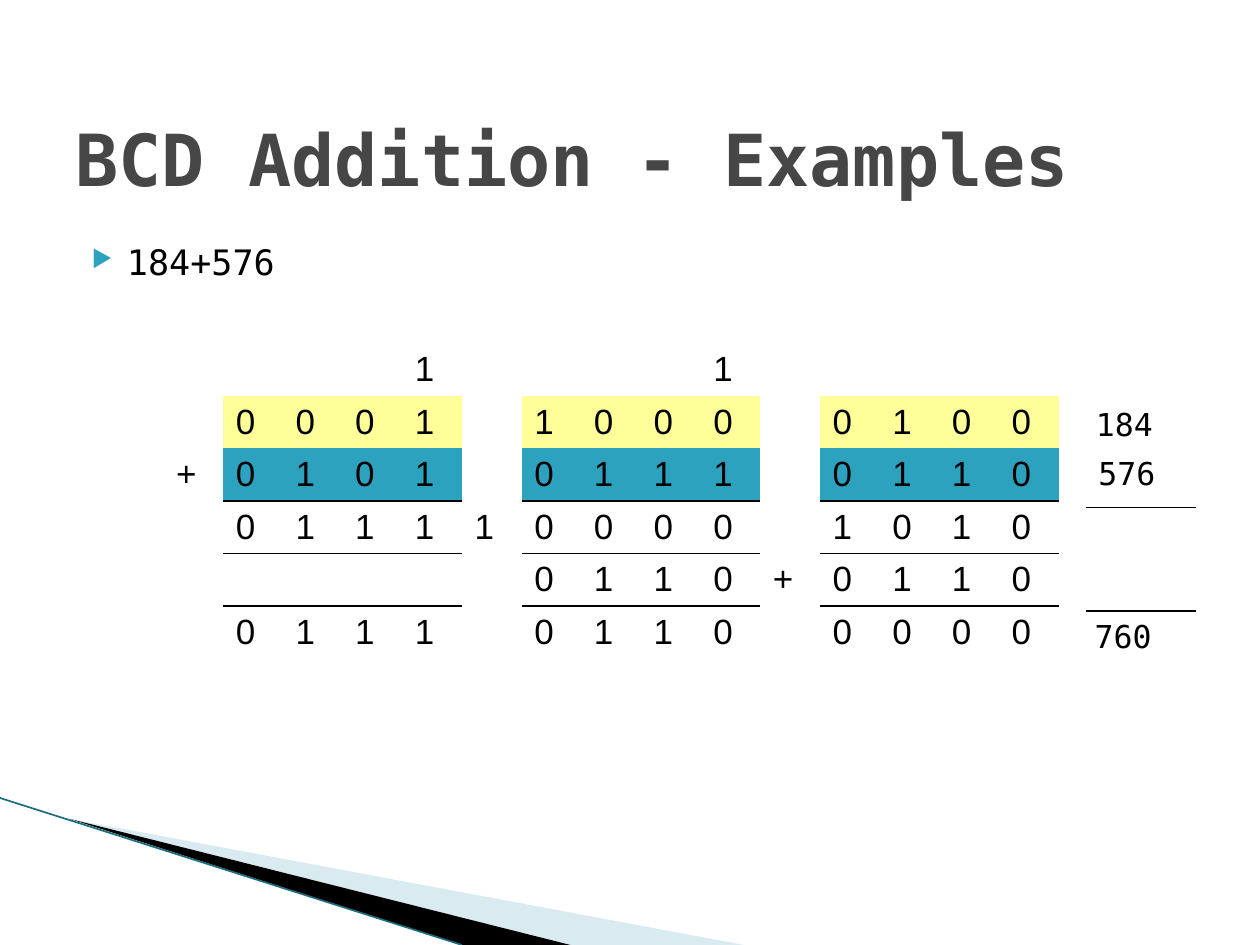
from lxml.etree import SubElement
from pptx import Presentation
from pptx.dml.color import RGBColor
from pptx.enum.shapes import MSO_CONNECTOR
from pptx.enum.text import MSO_ANCHOR, MSO_AUTO_SIZE, PP_ALIGN
from pptx.oxml import parse_xml
from pptx.oxml.ns import nsdecls, qn
from pptx.util import Pt

BLACK = RGBColor(0, 0, 0)
GREY = RGBColor(0x46, 0x46, 0x46)
BLUE = RGBColor(0x2D, 0xA2, 0xBF)
PALE_BLUE = RGBColor(0xA0, 0xCB, 0xDC)
DARK_TEAL = RGBColor(0x1B, 0x6D, 0x80)
YELLOW = RGBColor(0xFF, 0xFF, 0x99)
MONO, SANS = "DejaVu Sans Mono", "Arial"
NO_STYLE = "{2D5ABB26-0587-4C30-8999-92F81FD0307C}"

# One character per cell: sign or carry columns between three BCD digits
ADDITION = [
    "    1    1     ",
    " 0001 1000 0100",
    "+0101 0111 0110",
    " 011110000 1010",
    "      0110+0110",
    " 0111 0110 0000",
]
ROW_FILLS = {1: YELLOW, 2: BLUE}
RULED_SIDES = {2: "lnB", 3: "lnT", 4: "lnB", 5: "lnT"}


def add_run(p, text, size, font, color=BLACK, bold=False):
    r = p.add_run()
    r.text = text
    r.font.size, r.font.name, r.font.bold = Pt(size), font, bold
    r.font.color.rgb = color


def add_line(slide, x1, y1, x2, y2, color, width):
    line = slide.shapes.add_connector(
        MSO_CONNECTOR.STRAIGHT, Pt(x1), Pt(y1), Pt(x2), Pt(y2))
    line.line.color.rgb = color
    line.line.width = Pt(width)
    SubElement(line._element.spPr, qn("a:effectLst"))


def add_polygon(slide, points, color, alpha=None):
    builder = slide.shapes.build_freeform(*points[0], scale=Pt(1))
    builder.add_line_segments(points[1:], close=True)
    sp = builder.convert_to_shape()
    sp.shadow.inherit = False
    sp.line.fill.background()
    sp.fill.solid()
    sp.fill.fore_color.rgb = color
    if alpha:
        clr = sp._element.spPr.find(".//" + qn("a:srgbClr"))
        SubElement(clr, qn("a:alpha"), val=str(alpha * 1000))


def add_swoosh(slide, left, top, bottom):
    """Tapering wedges along the bottom edge."""
    tip = (left + 40, top + 12)
    add_polygon(slide, [tip, (left + 425, bottom), (left + 326, bottom)],
                PALE_BLUE, 40)
    add_polygon(slide, [tip, (left + 326, bottom), (left + 264, bottom)], BLACK)
    add_line(slide, left, top, left + 264, bottom, DARK_TEAL, 0.95)


def fill_title(slide, left, top, width, height):
    title = slide.shapes.title
    title.left, title.top = Pt(left), Pt(top)
    title.width, title.height = Pt(width), Pt(height)
    tf = title.text_frame
    tf.vertical_anchor = MSO_ANCHOR.MIDDLE
    tf.auto_size = MSO_AUTO_SIZE.NONE
    p = tf.paragraphs[0]
    p.alignment = PP_ALIGN.LEFT
    add_run(p, "BCD Addition - Examples", 41, MONO, GREY, True)


def add_bullet(slide, left, top, width, height):
    box = slide.shapes.add_textbox(Pt(left), Pt(top), Pt(width), Pt(height))
    tf = box.text_frame
    tf.word_wrap = True
    p = tf.paragraphs[0]
    p.space_before = Pt(4)
    ppr = p._p.get_or_add_pPr()
    ppr.set("marL", str(Pt(28.8)))
    ppr.set("indent", str(Pt(-20.16)))
    color = SubElement(ppr, qn("a:buClr"))
    SubElement(color, qn("a:srgbClr"), val=str(BLUE))
    SubElement(ppr, qn("a:buSzPct"), val="68000")
    SubElement(ppr, qn("a:buChar"), char="▶")
    add_run(p, "184+576", 20, MONO)


def add_border(cell, side):
    cell._tc.get_or_add_tcPr().insert(0, parse_xml(
        f'<a:{side} {nsdecls("a")} w="{Pt(1)}"><a:solidFill>'
        f'<a:srgbClr val="{BLACK}"/></a:solidFill></a:{side}>'))


def add_bcd_table(slide, left, top, width, height):
    rows, cols = len(ADDITION), len(ADDITION[0])
    table = slide.shapes.add_table(
        rows, cols, Pt(left), Pt(top), Pt(width), Pt(height)).table
    table.first_row = table.horz_banding = False
    table._tbl.tblPr.find(qn("a:tableStyleId")).text = NO_STYLE
    for row, digits in enumerate(ADDITION):
        for col, digit in enumerate(digits):
            cell = table.cell(row, col)
            cell.margin_top = cell.margin_bottom = Pt(3)
            cell.vertical_anchor = MSO_ANCHOR.MIDDLE
            in_digit_group = col % 5 != 0
            if in_digit_group and row in ROW_FILLS:
                cell.fill.solid()
                cell.fill.fore_color.rgb = ROW_FILLS[row]
            else:
                cell.fill.background()
            if in_digit_group and row in RULED_SIDES:
                add_border(cell, RULED_SIDES[row])
            if digit != " ":
                add_run(cell.text_frame.paragraphs[0], digit, 20, SANS)


def add_decimal_sum(slide, left, top, width):
    """Decimal check beside the table, with its two rules."""
    for number, dx, dy in (("184", 0, 0), ("576", 1.4, 28), ("760", -0.7, 121)):
        box = slide.shapes.add_textbox(
            Pt(left + dx), Pt(top + dy), Pt(54.7), Pt(36))
        box.text_frame.word_wrap = False
        add_run(box.text_frame.paragraphs[0], number, 18, MONO)
    for dy in (62, 121):
        add_line(slide, left + 1.4, top + dy, left + width, top + dy, BLACK, 0.75)


def main():
    prs = Presentation()
    prs.slide_width, prs.slide_height = Pt(720), Pt(540)
    slide = prs.slides.add_slide(prs.slide_layouts[5])
    add_swoosh(slide, 0, 456, 540)
    fill_title(slide, 36, 36, 648, 108)
    add_bullet(slide, 36.7, 134, 318, 306)
    add_bcd_table(slide, 93.5, 196.3, 511.8, 177.4)
    add_decimal_sum(slide, 619.2, 228.2, 64)
    prs.save("out.pptx")


if __name__ == "__main__":
    main()
